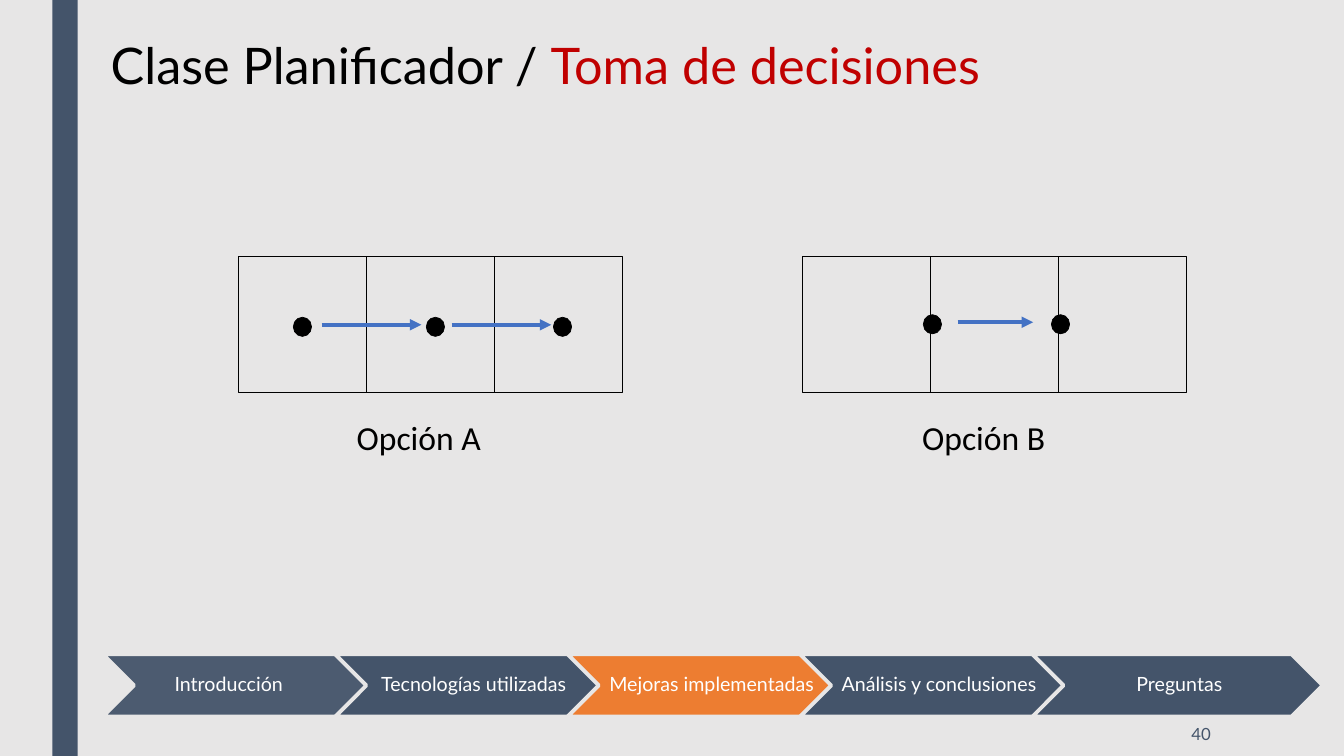
import lxml.etree
import pptx
import pptx.util
import pptx.dml.color
import pptx.enum.shapes
import pptx.enum.text
import pptx.oxml.ns

Pt = pptx.util.Pt
qn = pptx.oxml.ns.qn
SHAPES = pptx.enum.shapes.MSO_SHAPE
ALIGN = pptx.enum.text.PP_ALIGN
ANCHOR = pptx.enum.text.MSO_ANCHOR

COLOURS = {"ground": "E7E6E6", "slate": "44546A", "orange": "ED7D31", "black": "000000",
           "red": "C00000", "blue": "4472C4", "white": "FFFFFF"}

# Content
TITLE = [("Clase Planificador / ", "black"), ("Toma de decisiones", "red")]
PAGE_NUMBER = "40"
# Label, fill, opacity in percent, text indent, alignment
STAGES = [
    ("Introducción", "slate", 95, 25, ALIGN.LEFT),
    ("Tecnologías utilizadas", "slate", 100, 6.5, ALIGN.LEFT),
    ("Mejoras implementadas", "orange", 100, 3.5, ALIGN.LEFT),
    ("Análisis y conclusiones", "slate", 100, 3.5, ALIGN.LEFT),
    ("Preguntas", "slate", 100, 0, ALIGN.CENTER),
]
OPTIONS = [
    {"label": "Opción A", "label_left": 247.7, "label_width": 160.5, "left": 170.6,
     "dots": [209.5, 304.5, 395.3], "dot_top": 226.6,
     "arrows": [(229.7, 301), (322.6, 393.8)], "arrow_y": 232},
    {"label": "Opción B", "label_left": 651.6, "label_width": 129, "left": 573.1,
     "dots": [659.5, 751], "dot_top": 224.8,
     "arrows": [(684, 738)], "arrow_y": 230.2},
]

# Measures
CELLS, CELL_WIDTH, CELL_HEIGHT, CELL_TOP = 3, 91.4, 97.2, 182.9
DOT_WIDTH, DOT_HEIGHT = 13, 13.7
STAGE_LEFT, STAGE_TOP, STAGE_STEP, STAGE_HEIGHT = 73.4, 467.3, 166, 44.6
STAGE_WIDTH, LAST_STAGE_WIDTH = 239, 207.4


def colour(name):
    return pptx.dml.color.RGBColor.from_string(COLOURS[name])


def set_all(target, values):
    for name, value in values.items():
        setattr(target, name, value)


def add_form(page, kind, left, top, width, height, fill=None, line=None, weight=0.5):
    form = page.shapes.add_shape(kind, Pt(left), Pt(top), Pt(width), Pt(height))
    form.shadow.inherit = False
    if fill:
        form.fill.solid()
        form.fill.fore_color.rgb = colour(fill)
    else:
        form.fill.background()
    if line:
        form.line.color.rgb = colour(line)
        form.line.width = Pt(weight)
    else:
        form.line.fill.background()
    return form


def write(box, runs, size, font="Lato", align=ALIGN.LEFT, frame_format=None):
    frame = box.text_frame
    set_all(frame, {"word_wrap": True, "vertical_anchor": ANCHOR.TOP, **(frame_format or {})})
    para = frame.paragraphs[0]
    para.alignment = align
    for text, name in runs:
        span = para.add_run()
        span.text = text
        set_all(span.font, {"size": Pt(size), "name": font})
        span.font.color.rgb = colour(name)
    return para


def add_text(page, left, top, width, height, runs, size, **options):
    box = page.shapes.add_textbox(Pt(left), Pt(top), Pt(width), Pt(height))
    return write(box, runs, size, **options)


def add_arrow(page, start, end, y):
    arrow = page.shapes.add_connector(
        pptx.enum.shapes.MSO_CONNECTOR.STRAIGHT, Pt(start), Pt(y), Pt(end), Pt(y))
    arrow.line.color.rgb = colour("blue")
    arrow.line.width = Pt(2.75)
    properties = arrow._element.spPr
    lxml.etree.SubElement(properties.find(qn("a:ln")), qn("a:tailEnd"), type="triangle")
    lxml.etree.SubElement(properties, qn("a:effectLst"))


def add_stages(page):
    for index, (label, fill, opacity, indent, align) in enumerate(STAGES):
        width = LAST_STAGE_WIDTH if index == len(STAGES) - 1 else STAGE_WIDTH
        chevron = add_form(page, SHAPES.CHEVRON, STAGE_LEFT + index * STAGE_STEP, STAGE_TOP,
                           width, STAGE_HEIGHT, fill, "ground", 2.75)
        if opacity < 100:
            tint = chevron._element.spPr.find(qn("a:solidFill"))
            lxml.etree.SubElement(tint[0], qn("a:alpha"), val=str(opacity * 1000))
        margins = {"margin_left": Pt(4 + indent), "margin_top": Pt(1.4), "margin_right": Pt(1.4),
                   "margin_bottom": Pt(1.4), "vertical_anchor": ANCHOR.MIDDLE}
        para = write(chevron, [(label, "white")], 14, align=align, frame_format=margins)
        para.line_spacing = 0.9


def add_option(page, option):
    for index in range(CELLS):
        add_form(page, SHAPES.RECTANGLE, option["left"] + index * CELL_WIDTH, CELL_TOP,
                 CELL_WIDTH, CELL_HEIGHT, line="black")
    for left in option["dots"]:
        add_form(page, SHAPES.OVAL, left, option["dot_top"], DOT_WIDTH, DOT_HEIGHT,
                 "black", "black")
    for start, end in option["arrows"]:
        add_arrow(page, start, end, option["arrow_y"])
    add_text(page, option["label_left"], 294.5, option["label_width"], 61.2,
             [(option["label"], "black")], 24, font="Calibri")


def main():
    deck = pptx.Presentation()
    set_all(deck, {"slide_width": Pt(960), "slide_height": Pt(540)})
    page = deck.slides.add_slide(deck.slide_layouts[6])
    page.background.fill.solid()
    page.background.fill.fore_color.rgb = colour("ground")

    # Side bar and progress chevrons
    add_form(page, SHAPES.RECTANGLE, 37.4, 0, 18, 540, "slate")
    add_stages(page)

    # Title
    add_text(page, 72, 20.9, 745.2, 51.1, TITLE, 36)

    # Two options
    for option in OPTIONS:
        add_option(page, option)

    # Page number
    add_text(page, 745.9, 508.3, 126, 31.7, [(PAGE_NUMBER, "slate")], 12, align=ALIGN.RIGHT,
             frame_format={"vertical_anchor": ANCHOR.MIDDLE})
    deck.save("out.pptx")


if __name__ == "__main__":
    main()
